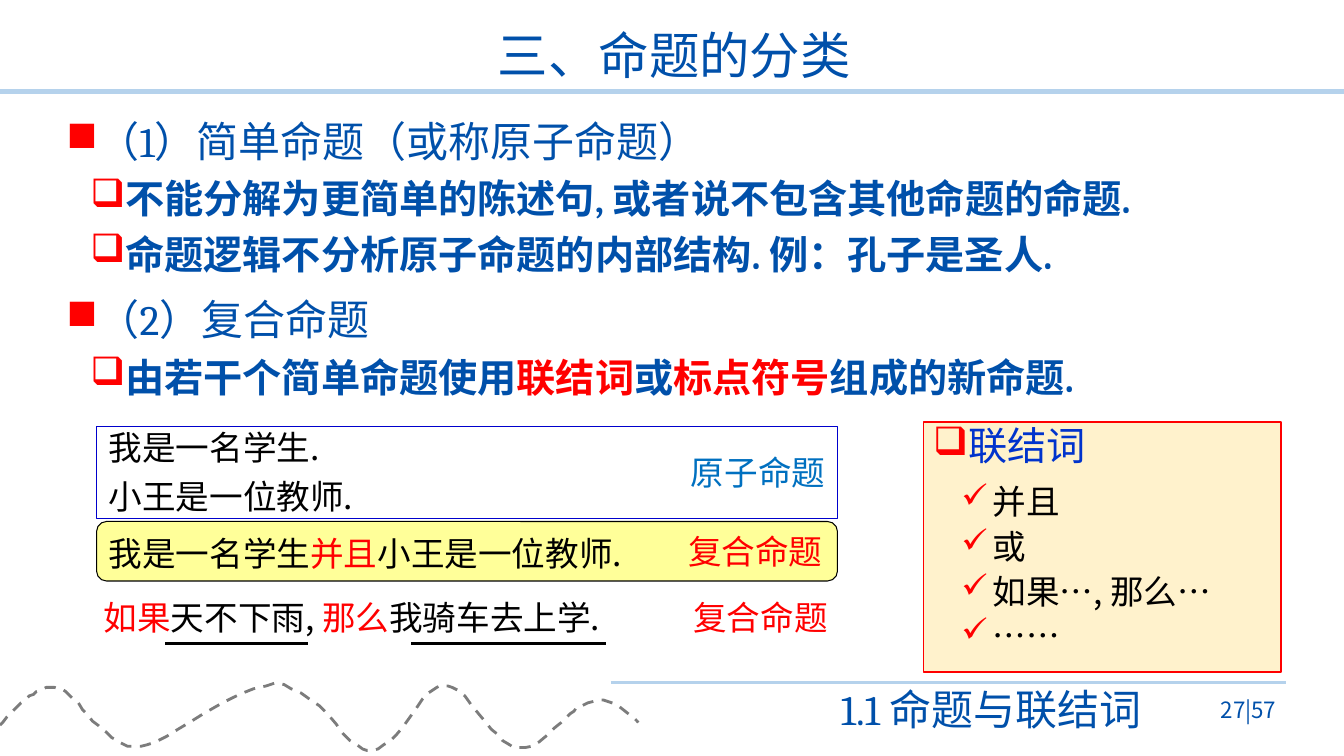
from lxml import etree
from pptx import Presentation
from pptx.dml.color import RGBColor
from pptx.enum.dml import MSO_LINE
from pptx.enum.shapes import MSO_CONNECTOR, MSO_SHAPE
from pptx.enum.text import MSO_ANCHOR, PP_ALIGN
from pptx.oxml.ns import qn
from pptx.util import Pt

BLUE, RED, BLACK, PALE_BLUE = "0050AA", "FF0000", "000000", "B5D2EC"
SANS = "Noto Sans CJK SC"


def color(hex_value):
    return RGBColor.from_string(hex_value)


def write(frame, text, size=24, font=SANS, ink=BLACK, bold=False, align=PP_ALIGN.LEFT,
          before=0, after=0, spacing=None, left=0, hang=0, level=0, bullet=None):
    """Add one paragraph; text between asterisks is red."""
    paragraph = frame.paragraphs[0]
    if paragraph.runs:
        paragraph = frame.add_paragraph()
    paragraph.alignment, paragraph.level = align, level
    paragraph.space_before, paragraph.space_after = Pt(before), Pt(after)
    if spacing:
        paragraph.line_spacing = spacing
    properties = paragraph._p.get_or_add_pPr()
    properties.set("marL", str(Pt(left)))
    properties.set("indent", str(Pt(-hang)))
    if bullet:
        bullet_color = etree.SubElement(properties, qn("a:buClr"))
        etree.SubElement(bullet_color, qn("a:srgbClr"), val=RED)
        etree.SubElement(properties, qn("a:buChar"), char=bullet)
    for index, part in enumerate(text.split("*")):
        if part:
            run = paragraph.add_run()
            run.text = part
            run.font.size, run.font.name, run.font.bold = Pt(size), font, bold
            run.font.color.rgb = color(RED if index % 2 else ink)
            etree.SubElement(run._r.get_or_add_rPr(), qn("a:ea"), typeface=SANS)


presentation = Presentation()
presentation.slide_width, presentation.slide_height = Pt(960), Pt(540)
slide = presentation.slides.add_slide(presentation.slide_layouts[5])
shapes = slide.shapes

# Title
title = shapes.title
title.left, title.top, title.width, title.height = Pt(113), Pt(18), Pt(737.3), Pt(46.8)
title.text_frame.vertical_anchor = MSO_ANCHOR.MIDDLE
write(title.text_frame, "三、命题的分类", size=36, font="Cambria", ink=BLUE,
      align=PP_ALIGN.CENTER, spacing=0.9)

# Dashed wave at the foot: a smooth curve through its turning points
wave = [(0, 518.4), (12, 505), (24, 495.5), (33, 491), (44.5, 492.5), (52.5, 499),
        (66.5, 515), (78, 525), (85, 530), (93.5, 532.8), (111, 530), (145, 510.5),
        (171, 496), (189.5, 489.6), (203, 489), (228, 504.5), (250.5, 529), (266, 535.7),
        (283, 525), (302.5, 499), (314.5, 490.3), (327, 493), (347, 516), (363.5, 532),
        (379.5, 532.8), (401, 516), (412.5, 505.4), (427.5, 500.4), (440, 503.3),
        (455.8, 515.5)]
curve = []
for i in range(len(wave) - 1):
    p0, p1, p2, p3 = (wave[min(max(i + k, 0), len(wave) - 1)] for k in (-1, 0, 1, 2))
    for t in (0, 0.25, 0.5, 0.75):
        curve.append(tuple(
            b + t * (c - a) / 2 + t**2 * (2 * a - 5 * b + 4 * c - d) / 2
            + t**3 * (3 * b - a - 3 * c + d) / 2
            for a, b, c, d in zip(p0, p1, p2, p3)))
curve.append(wave[-1])
builder = shapes.build_freeform(*curve[0], scale=Pt(1))
builder.add_line_segments(curve[1:], close=False)
wave_line = builder.convert_to_shape()
wave_line.shadow.inherit = False
wave_line.fill.background()
wave_line.line.color.rgb = color("7C7C7C")
wave_line.line.width = Pt(2)
wave_line.line.dash_style = MSO_LINE.DASH

# Frames: compound example, atomic examples, connectives
frames = []
for kind, left, top, width, height, fill, outline, weight in [
    (MSO_SHAPE.ROUNDED_RECTANGLE, 69, 372.5, 529.2, 42.5, "FFFF99", BLACK, 0.75),
    (MSO_SHAPE.RECTANGLE, 69, 304.6, 529.2, 65.5, None, "0000CC", 0.75),
    (MSO_SHAPE.RECTANGLE, 659.5, 301.5, 255.6, 178.5, "FFF2CC", RED, 1),
]:
    frame = shapes.add_shape(kind, Pt(left), Pt(top), Pt(width), Pt(height))
    frame.shadow.inherit = False
    if fill:
        frame.fill.solid()
        frame.fill.fore_color.rgb = color(fill)
    else:
        frame.fill.background()
    frame.line.color.rgb = color(outline)
    frame.line.width = Pt(weight)
    frames.append(frame.text_frame)
compound, atomic, connectives = frames
for frame, label, ink in [(compound, "复合命题", RED), (atomic, "原子命题", "0070C0")]:
    frame.margin_left = frame.margin_right = Pt(8.64)
    frame.vertical_anchor = MSO_ANCHOR.MIDDLE
    write(frame, label, ink=ink, align=PP_ALIGN.RIGHT)

connectives.vertical_anchor = MSO_ANCHOR.TOP
write(connectives, "联结词", size=28, ink="0033CC", before=7, after=5.6, spacing=0.9,
      left=24.5, hang=24.5, bullet="❑")
for word in ["并且", "或", "如果…, 那么…", "……"]:
    write(connectives, word, before=6, spacing=0.9, left=42.5, hang=22.3, level=1, bullet="✓")

# Text boxes
boxes = []
for left, top, width, height, wrap in [
    (40.3, 79.2, 878.4, 212.4, True),
    (34.6, 301.7, 464.4, 113, True),
    (67, 422.6, 380.2, 36, False),
    (486.7, 422.6, 111.6, 36, False),
    (396.7, 484.6, 425.5, 43.9, True),
    (843.1, 492.5, 75.6, 28.8, True),
]:
    box = shapes.add_textbox(Pt(left), Pt(top), Pt(width), Pt(height)).text_frame
    box.word_wrap = wrap
    boxes.append(box)
definitions, examples, conditional, conditional_label, section, page = boxes

# Definitions
for level, before, text in [
    (0, 6, "（1）简单命题（或称原子命题）"),
    (1, 6, "不能分解为更简单的陈述句, 或者说不包含其他命题的命题. "),
    (1, 6, "命题逻辑不分析原子命题的内部结构. 例：孔子是圣人. "),
    (0, 12, "（2）复合命题"),
    (1, 6, "由若干个简单命题使用*联结词*或*标点符号*组成的新命题. "),
]:
    write(definitions, text, size=28 if level else 30, font="Cambria", ink=BLUE,
          bold=bool(level), align=PP_ALIGN.JUSTIFY, before=before, level=level,
          left=39.6 if level else 22.3, hang=22.3, bullet="❑" if level else "■")

# Examples
for before, text in [(6, "我是一名学生."), (6, "小王是一位教师."),
                     (12, "我是一名学生*并且*小王是一位教师.")]:
    write(examples, text, before=before, left=74.9, hang=38.9, level=1)
write(conditional, "*如果*天不下雨, *那么*我骑车去上学.")
write(conditional_label, "复合命题", ink=RED, align=PP_ALIGN.RIGHT)

# Section name and page number
write(section, "1.1 命题与联结词", size=30, font="Cambria", ink=BLUE,
      align=PP_ALIGN.RIGHT, before=6)
page.vertical_anchor = MSO_ANCHOR.MIDDLE
write(page, "27|57", size=16, ink=BLUE, align=PP_ALIGN.RIGHT)

# Title rule, footer rule and underlines of the two clauses
for start, end, y, ink, weight in [
    (0, 960, 65.5, PALE_BLUE, 4),
    (436.3, 918.7, 487.4, PALE_BLUE, 1.75),
    (118.1, 220.3, 459.4, BLACK, 2.25),
    (293.8, 432.7, 459.4, BLACK, 2.25),
]:
    rule = shapes.add_connector(MSO_CONNECTOR.STRAIGHT, Pt(start), Pt(y), Pt(end), Pt(y))
    rule.line.color.rgb = color(ink)
    rule.line.width = Pt(weight)
    etree.SubElement(rule._element.spPr, qn("a:effectLst"))

presentation.save("out.pptx")
